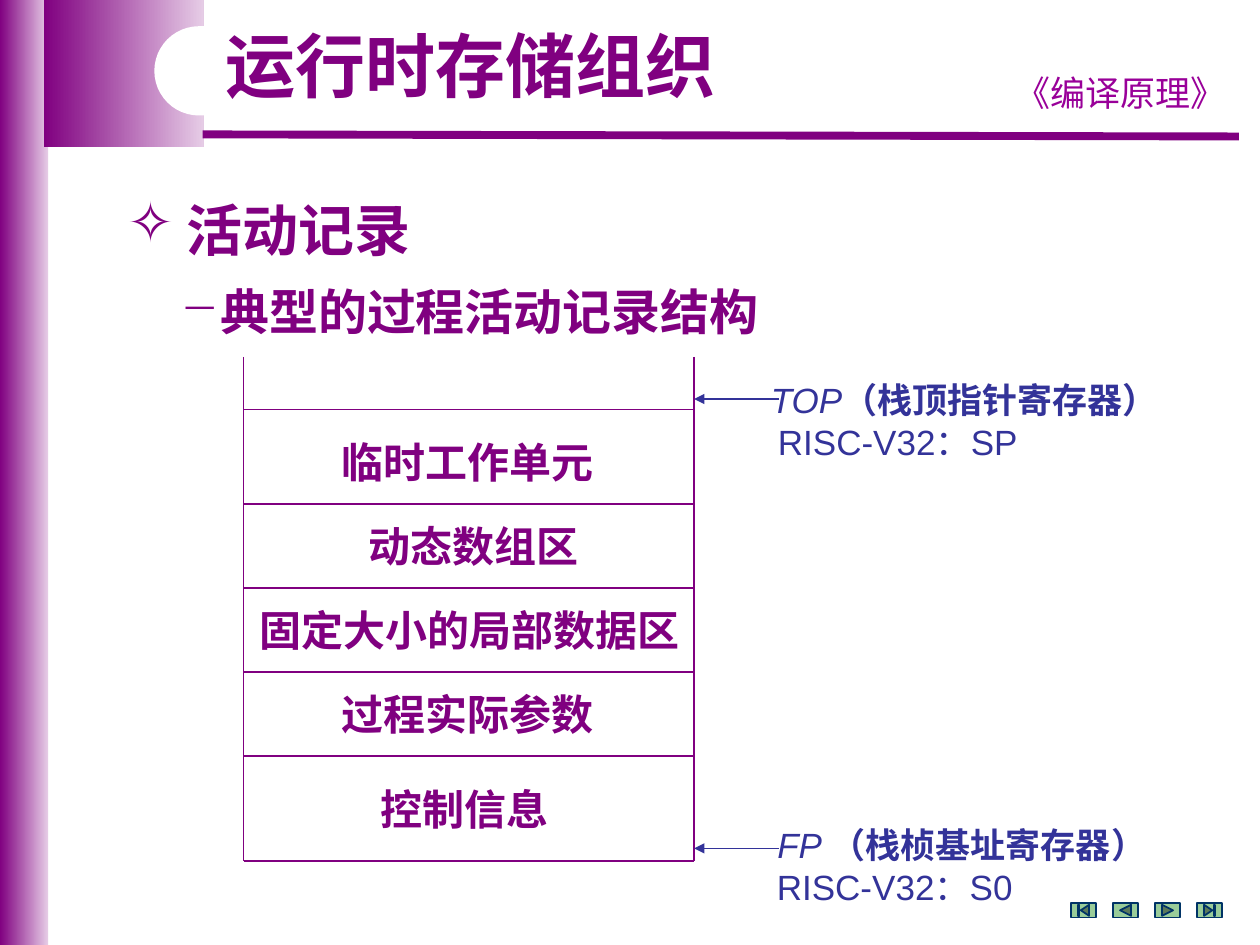
import math
from dataclasses import dataclass

import pptx
import pptx.dml.color
import pptx.enum.dml
import pptx.enum.shapes
import pptx.enum.text
import pptx.oxml
import pptx.oxml.ns
import pptx.util
from lxml import etree

RGB = pptx.dml.color.RGBColor
SHAPE = pptx.enum.shapes.MSO_SHAPE
ALIGN = pptx.enum.text.PP_ALIGN
PURPLE = RGB(0x80, 0x00, 0x80)
PALE_PURPLE = RGB(0xE6, 0xCC, 0xE6)
MAGENTA = RGB(0x99, 0x00, 0x99)
INDIGO = RGB(0x33, 0x33, 0x99)
GREEN = RGB(0x99, 0xCC, 0x99)
NAVY = RGB(0x00, 0x33, 0x66)
WHITE = RGB(0xFF, 0xFF, 0xFF)

# Grid of 120 columns by 90 rows on a 10 x 7.5 inch slide
COLS, ROWS = 120, 90
CELL = pptx.util.Inches(10) / COLS


def grid(n: float) -> int:
    return round(n * CELL)


@dataclass
class Box:
    col: float
    row: float
    cols: float
    rows: float

    def emu(self) -> list[int]:
        return [grid(n) for n in (self.col, self.row, self.cols, self.rows)]


@dataclass
class Run:
    text: str
    size: float
    color: RGB = PURPLE
    bold: bool = True
    italic: bool = False
    font: str = "Arial"


@dataclass
class Para:
    runs: list[Run]
    align: ALIGN = ALIGN.LEFT
    bullet: str = ""
    indent: float = 0
    spacing: float = 1


@dataclass
class Zone:
    """A field of the activation record, with its text span in columns."""
    text: str
    bottom: float
    col: float
    cols: float


@dataclass
class Pointer:
    """A register label with the row of its arrow."""
    name: str
    meaning: str
    register: str
    indent: float
    box: Box
    arrow_row: float


prs = pptx.Presentation()
prs.slide_width, prs.slide_height = grid(COLS), grid(ROWS)
s = prs.slides.add_slide(prs.slide_layouts[6])


def add_text(box: Box, *paras: Para) -> None:
    tf = s.shapes.add_textbox(*box.emu()).text_frame
    tf.word_wrap = True
    for i, para in enumerate(paras):
        p = tf.paragraphs[0] if i == 0 else tf.add_paragraph()
        p.alignment, p.line_spacing = para.align, para.spacing
        pPr = p._p.get_or_add_pPr()
        pPr.set("marL", str(grid(para.indent)))
        if para.bullet:
            pPr.set("indent", str(-grid(para.indent)))
            bu = etree.SubElement(pPr, pptx.oxml.ns.qn("a:buChar"))
            bu.set("char", para.bullet)
        for run in para.runs:
            r = p.add_run()
            r.text = run.text
            r.font.name, r.font.size = run.font, pptx.util.Pt(run.size)
            r.font.bold, r.font.italic = run.bold, run.italic
            r.font.color.rgb = run.color


def add_box(kind: SHAPE, box: Box):
    sp = s.shapes.add_shape(kind, *box.emu())
    sp.shadow.inherit = False
    sp.line.fill.background()
    return sp


def add_gradient(box: Box) -> None:
    fill = add_box(SHAPE.RECTANGLE, box).fill
    fill.gradient()
    fill.gradient_angle = 0
    for stop, position, color in zip(fill.gradient_stops, (0, 1), (PURPLE, PALE_PURPLE)):
        stop.position, stop.color.rgb = position, color


def add_line(x1: float, y1: float, x2: float, y2: float, color: RGB = PURPLE,
             width: float = 0.75, arrow: bool = False) -> None:
    cx = s.shapes.add_connector(pptx.enum.shapes.MSO_CONNECTOR.STRAIGHT,
                                *map(grid, (x1, y1, x2, y2)))
    cx.line.color.rgb, cx.line.width = color, pptx.util.Pt(width)
    if arrow:
        ln = cx.line._get_or_add_ln()
        etree.SubElement(ln, pptx.oxml.ns.qn("a:tailEnd")).set("type", "triangle")
    etree.SubElement(cx._element.spPr, pptx.oxml.ns.qn("a:effectLst"))


# Frame and header
add_gradient(Box(0, 0, 4.6, ROWS))
add_gradient(Box(4.2, 0, 15.2, 14))
add_line(19.3, 12.8, 118, 13, width=4.5)
add_text(Box(94.9, 6.2, 23.6, 5.2),
         Para([Run("《编译原理》", 20, MAGENTA, False, font="Noto Sans CJK SC")], ALIGN.CENTER))
notch = add_box(SHAPE.ROUNDED_RECTANGLE, Box(14.7, 2.5, 43.4, 8.5))
notch.adjustments[0] = 0.5
notch.fill.solid()
notch.fill.fore_color.rgb = WHITE

# Title and headings
add_text(Box(20.3, 2.5, 49.7, 8.4), Para([Run("运行时存储组织", 40)], spacing=0.9))
add_text(Box(11, 18, 88, 7.6), Para([Run("活动记录", 32)], bullet="✧", indent=5.6))
add_text(Box(16, 26.2, 79.4, 6.8),
         Para([Run("典型的过程活动记录结构", 28)], bullet="−", indent=3.8))

# Navigation buttons
BUTTONS = [SHAPE.ACTION_BUTTON_BEGINNING, SHAPE.ACTION_BUTTON_BACK_OR_PREVIOUS,
           SHAPE.ACTION_BUTTON_FORWARD_OR_NEXT, SHAPE.ACTION_BUTTON_END]
for i, kind in enumerate(BUTTONS):
    button = add_box(kind, Box(102 + 4 * i, 86, 2.4, 1.4))
    button.fill.solid()
    button.fill.fore_color.rgb = GREEN
    button.line.color.rgb, button.line.width = NAVY, pptx.util.Pt(1)

# Activation record: open-topped stack of fields
LEFT, RIGHT, TOP, FIRST = 23.2, 66.1, 34, 39
ZONES = [
    Zone("临时工作单元", 48, 23.9, 41.3),
    Zone("动态数组区", 56, 23.9, 42.4),
    Zone("固定大小的局部数据区", 64, 23.2, 43),
    Zone("过程实际参数", 72, 23.9, 41.3),
    Zone("控制信息", 82, 23.2, 42),
]
for x in (LEFT, RIGHT):
    add_line(x, TOP, x, ZONES[-1].bottom)
add_line(LEFT, FIRST, RIGHT, FIRST)
top = FIRST
for zone in ZONES:
    add_line(LEFT, zone.bottom, RIGHT, zone.bottom)
    middle = math.ceil((top + zone.bottom) / 2)
    add_text(Box(zone.col, middle - 3, zone.cols, 6),
             Para([Run(zone.text, 24)], ALIGN.CENTER))
    top = zone.bottom

# Register pointers
POINTERS = [
    Pointer("TOP", "（栈顶指针寄存器）", "RISC-V32：SP", 0.9, Box(72, 35.5, 39.7, 9.2), 38),
    Pointer("FP ", "（栈桢基址寄存器）", "RISC-V32：S0", 1.8, Box(71, 77.8, 41.2, 9.2), 80.8),
]
for ptr in POINTERS:
    add_line(74.2, ptr.arrow_row, RIGHT, ptr.arrow_row, INDIGO, arrow=True)
    add_text(ptr.box,
             Para([Run(ptr.name, 20, INDIGO, False, True), Run(ptr.meaning, 20, INDIGO)],
                  ALIGN.CENTER),
             Para([Run(ptr.register, 20, INDIGO, False)], indent=ptr.indent))

prs.save("out.pptx")
